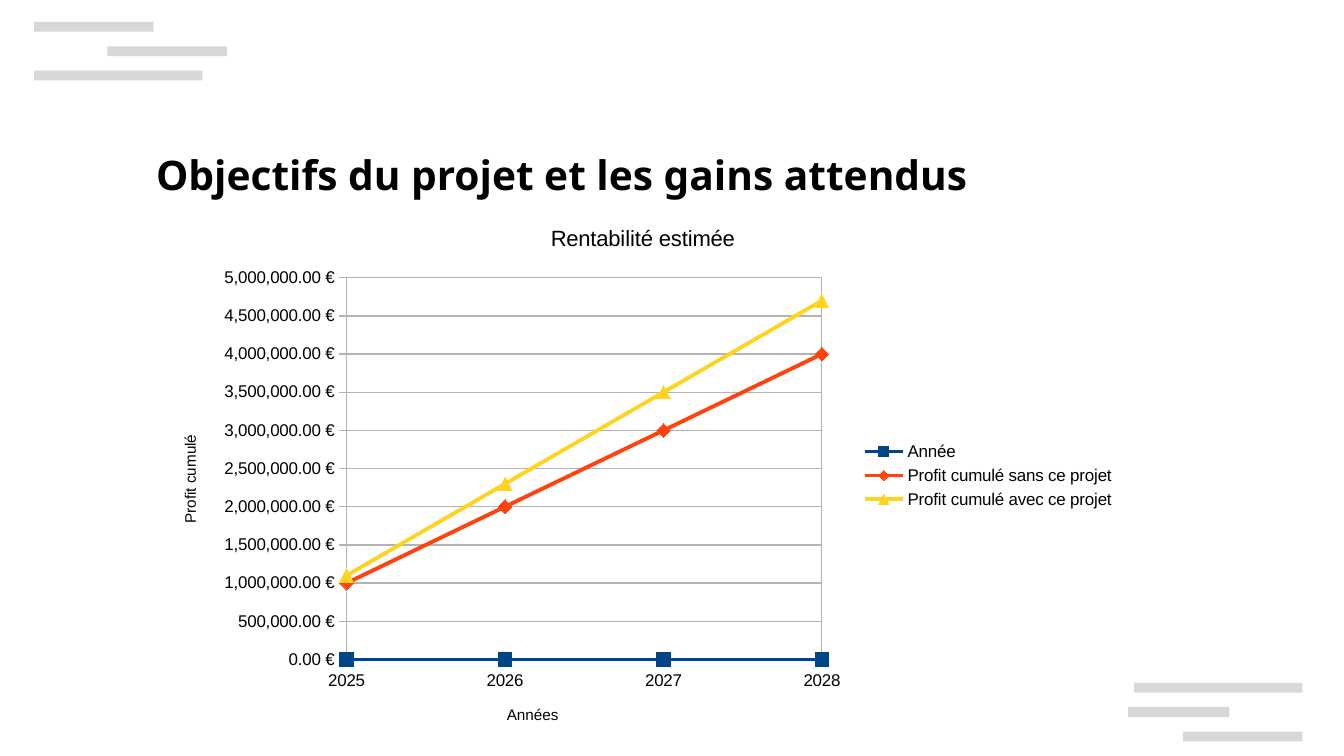
from lxml.etree import SubElement
from pptx import Presentation
from pptx.chart.data import CategoryChartData
from pptx.dml.color import RGBColor
from pptx.enum.chart import XL_CHART_TYPE as ChartType, XL_LEGEND_POSITION as LegendPosition
from pptx.enum.chart import XL_MARKER_STYLE as Marker, XL_TICK_MARK as TickMark
from pptx.enum.shapes import MSO_SHAPE as ShapeType
from pptx.enum.text import MSO_ANCHOR as Anchor, MSO_AUTO_SIZE as AutoSize, PP_ALIGN as Align
from pptx.oxml import parse_xml
from pptx.oxml.ns import nsdecls, qn
from pptx.util import Inches, Pt

CELL = 0.1
EURO = "#,##0.00\\ [$€-40C];[RED]\\-#,##0.00\\ [$€-40C]"
YEARS = ["2025", "2026", "2027", "2028"]
PROFITS = [
    ("Année", [0, 0, 0, 0], "004586", Marker.SQUARE),
    ("Profit cumulé sans ce projet", [1000000, 2000000, 3000000, 4000000], "FF420E", Marker.DIAMOND),
    ("Profit cumulé avec ce projet", [1100000, 2300000, 3500000, 4700000], "FFD320", Marker.TRIANGLE),
]
TOP_BARS = [(2.8, 9.8), (8.8, 9.8), (2.8, 13.8)]
BOTTOM_BARS = [(93, 13.8), (91, 9.8), (97, 9.8)]


def color(hex_value):
    return RGBColor.from_string(hex_value)


def apply(target, **values):
    for name, value in values.items():
        setattr(target, name, value)


def paint(fill, hex_value):
    fill.solid()
    fill.fore_color.rgb = color(hex_value)


def area_properties(fill, line):
    return parse_xml(f'<c:spPr {nsdecls("c", "a")}>{fill}<a:ln w="0">{line}</a:ln></c:spPr>')


def solid(hex_value):
    return f'<a:solidFill><a:srgbClr val="{hex_value}"/></a:solidFill>'


def place(element, **percents):
    """Give a chart part a manual layout in percent of the chart's size."""
    for old in element.findall(qn("c:layout")):
        element.remove(old)
    layout = parse_xml(f'<c:layout {nsdecls("c")}><c:manualLayout/></c:layout>')
    manual = layout[0]
    if element.tag == qn("c:plotArea"):
        SubElement(manual, qn("c:layoutTarget"), val="inner")
    for name in ("x", "y"):
        SubElement(manual, qn(f"c:{name}Mode"), val="edge")
    for name, percent in percents.items():
        SubElement(manual, qn(f"c:{name}"), val=f"{percent / 100:.4f}")
    overlay = element.find(qn("c:overlay"))
    if overlay is None:
        element.insert(0, layout)
    else:
        overlay.addprevious(layout)


class SlideBuilder:
    """Hold the deck's style and the slide being built."""

    ink, grey, rule = "000000", "CCCCCC", "B3B3B3"
    chart_font, title_font = "Arial", "Noto Sans"

    def __init__(self, presentation):
        self.slide = presentation.slides.add_slide(presentation.slide_layouts[5])
        paint(self.slide.background.fill, "FFFFFF")

    def box(self, column, row, columns, rows):
        return [Inches(round(cells * CELL, 2)) for cells in (column, row, columns, rows)]

    def style_font(self, font, size, name=chart_font, bold=False):
        apply(font, size=Pt(size), name=name, bold=bold)
        font.color.rgb = color(self.ink)

    def title(self, text, *cells):
        shape = self.slide.shapes.title
        left, top, width, height = self.box(*cells)
        apply(shape, left=left, top=top, width=width, height=height)
        frame = shape.text_frame
        apply(frame, text=text, word_wrap=True, auto_size=AutoSize.NONE,
              vertical_anchor=Anchor.MIDDLE, margin_top=Inches(0.13))
        paragraph = frame.paragraphs[0]
        apply(paragraph, alignment=Align.JUSTIFY, space_before=Pt(7.2))
        self.style_font(paragraph.runs[0].font, 24, self.title_font, True)

    def bars(self, first_row, bars):
        for index, (column, columns) in enumerate(bars):
            cells = self.box(column, first_row + 2 * index, columns, 0.8)
            shape = self.slide.shapes.add_shape(ShapeType.RECTANGLE, *cells)
            shape.shadow.inherit = False
            paint(shape.fill, self.grey)
            shape.line.fill.background()
            tone = shape._element.spPr.find(qn("a:solidFill"))[0]
            SubElement(tone, qn("a:alpha"), val="75000")

    def chart_title(self, title, text, size, x, y):
        title.text_frame.text = text
        self.style_font(title.text_frame.paragraphs[0].runs[0].font, size)
        place(title._element, x=x, y=y)

    def axis(self, axis, text, number_format, x, y):
        apply(axis, has_title=True, major_tick_mark=TickMark.OUTSIDE, minor_tick_mark=TickMark.NONE)
        apply(axis.tick_labels, number_format=number_format, number_format_is_linked=False)
        self.style_font(axis.tick_labels.font, 10)
        self.line(axis.format.line, self.rule, 0)
        self.chart_title(axis.axis_title, text, 9, x, y)

    def line(self, line, hex_value, width):
        paint(line.fill, hex_value)
        line.width = Pt(width)

    def value_axis(self, axis, text, x, y):
        self.axis(axis, text, EURO, x, y)
        axis.axis_title.text_frame._txBody.bodyPr.set("rot", "-5400000")
        for old in axis._element.findall(qn("c:crossBetween")):
            axis._element.remove(old)
        crossing = parse_xml(f'<c:crossBetween {nsdecls("c")} val="midCat"/>')
        axis._element.find(qn("c:crosses")).addnext(crossing)
        apply(axis, minimum_scale=0, maximum_scale=5000000, major_unit=500000, has_major_gridlines=True)
        self.line(axis.major_gridlines.format.line, self.rule, 0)

    def legend(self, chart):
        chart.has_legend = True
        apply(chart.legend, position=LegendPosition.RIGHT, include_in_layout=False)
        self.style_font(chart.legend.font, 10)
        place(chart.legend._element, x=72.1, y=43, w=27, h=14)

    def profit_chart(self, *cells):
        data = CategoryChartData()
        data.categories = YEARS
        for name, values, *_ in PROFITS:
            data.add_series(name, values)
        frame = self.slide.shapes.add_chart(ChartType.LINE_MARKERS, *self.box(*cells), data)
        chart = frame.chart
        self.style_font(chart.font, 10)
        chart.has_title = True
        self.chart_title(chart.chart_title, "Rentabilité estimée", 13, 40.2, 3.3)
        self.axis(chart.category_axis, "Années", "0", 35.8, 91.5)
        self.value_axis(chart.value_axis, "Profit cumulé", 2.2, 42)
        self.legend(chart)
        chart.plots[0].vary_by_categories = False
        for series, (_, _, hex_value, marker) in zip(chart.plots[0].series, PROFITS):
            series.smooth = False
            self.line(series.format.line, hex_value, 2.27)
            apply(series.marker, style=marker, size=8)
            paint(series.marker.format.fill, hex_value)
            self.line(series.marker.format.line, hex_value, 0)
        chart_part = chart._chartSpace.find(qn("c:chart"))
        chart_part.addnext(area_properties(solid("FFFFFF"), "<a:noFill/>"))
        plot_area = chart_part.find(qn("c:plotArea"))
        plot_area.append(area_properties("<a:noFill/>", solid(self.rule)))
        place(plot_area, x=19.6, y=13.8, w=48.9, h=69.9)


def main():
    presentation = Presentation()
    apply(presentation, slide_width=Inches(11.02), slide_height=Inches(6.2))
    builder = SlideBuilder(presentation)
    builder.bars(56, BOTTOM_BARS)
    builder.bars(1.8, TOP_BARS)
    builder.title("Objectifs du projet et les gains attendus", 11.8, 11.8, 86.6, 4.1)
    builder.profit_chart(12.8, 16.6, 79.7, 44.8)
    presentation.save("out.pptx")


if __name__ == "__main__":
    main()
